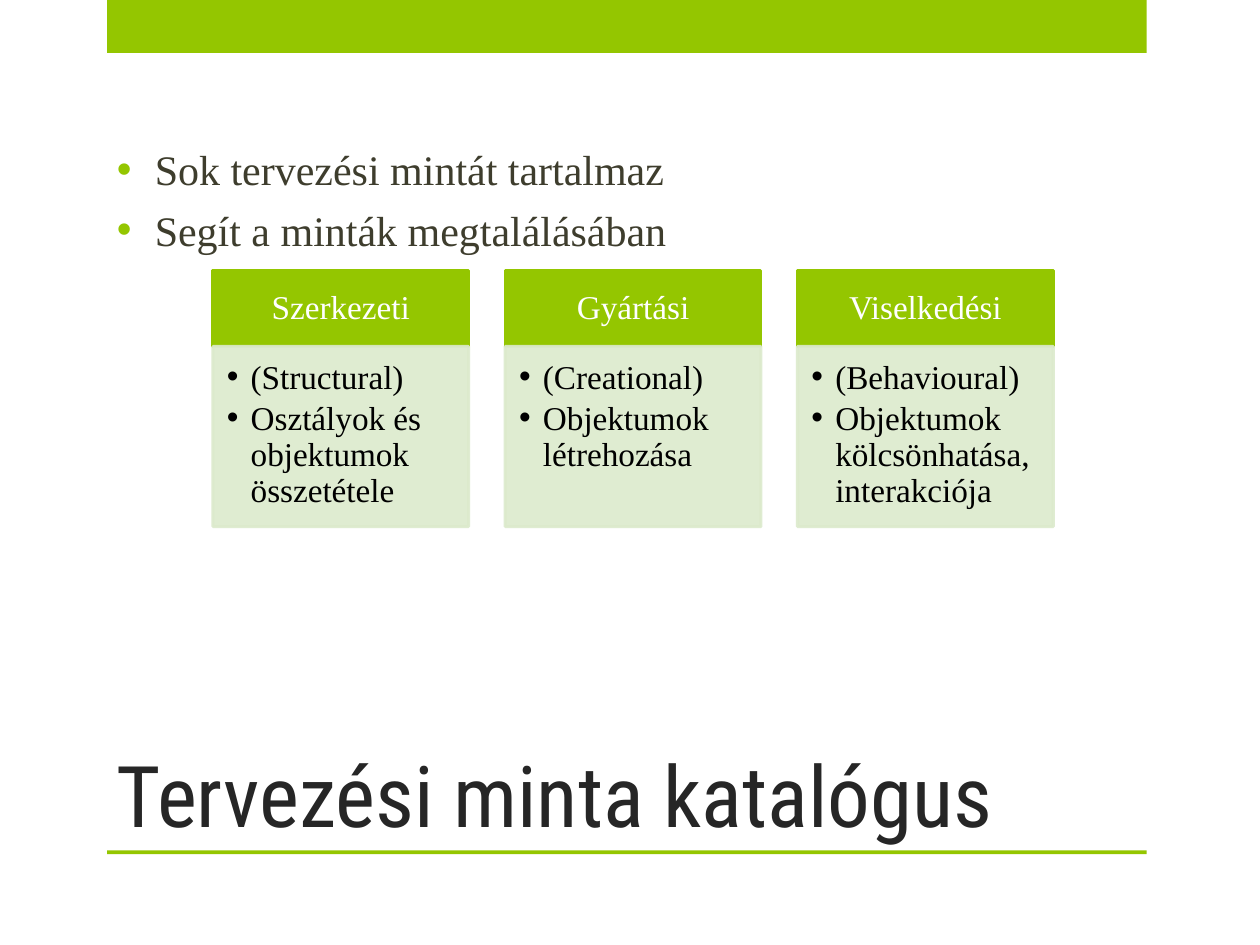
from lxml.etree import SubElement
from pptx import Presentation
from pptx.dml.color import RGBColor
from pptx.enum.shapes import MSO_SHAPE
from pptx.enum.text import MSO_ANCHOR, PP_ALIGN
from pptx.oxml.ns import qn
from pptx.util import Inches, Pt

TITLE = "Tervezési minta katalógus"
POINTS = ["Sok tervezési mintát tartalmaz", "Segít a minták megtalálásában"]
CARDS = [
    ("Szerkezeti", ["(Structural)", "Osztályok és objektumok összetétele"]),
    ("Gyártási", ["(Creational)", "Objektumok létrehozása"]),
    ("Viselkedési", ["(Behavioural)", "Objektumok kölcsönhatása, interakciója"]),
]
GREEN, PALE = "94C600", "DCEACC"
SERIF = "Times New Roman"
BARS = [(0, 0.42), (6.75, 0.03)]
CARD_LEFT, CARD_TOP, CARD_STEP, CARD_WIDTH = 1.69, 2.15, 2.32, 2.03
HEAD_HEIGHT, BODY_HEIGHT = 0.6, 1.43


def rgb(value):
    """Return a colour from a hex string."""
    return RGBColor.from_string(value)


def add_rect(s, box, color, line=False, opacity=None):
    """Add a flat rectangle, optionally outlined and translucent."""
    sp = s.shapes.add_shape(MSO_SHAPE.RECTANGLE, *map(Inches, box))
    sp.shadow.inherit = False
    sp.fill.solid()
    sp.fill.fore_color.rgb = rgb(color)
    if line:
        sp.line.color.rgb = rgb(color)
        sp.line.width = Pt(1.75)
    else:
        sp.line.fill.background()
    if opacity:
        for clr in sp._element.spPr.iter(qn("a:srgbClr")):
            SubElement(clr, qn("a:alpha"), val=str(opacity * 1000))
    return sp


def add_bullet(p, indent, color=None):
    """Give a paragraph a hanging round bullet."""
    pPr = p._p.get_or_add_pPr()
    pPr.set("marL", str(Inches(indent)))
    pPr.set("indent", str(-Inches(indent)))
    if color:
        SubElement(SubElement(pPr, qn("a:buClr")), qn("a:srgbClr"), val=color)
    SubElement(pPr, qn("a:buFont"), typeface="Arial")
    SubElement(pPr, qn("a:buChar"), char="•")


def write(sp, lines, size, color, font=SERIF, anchor=MSO_ANCHOR.MIDDLE,
          align=PP_ALIGN.LEFT, insets=(0.1, 0.05, 0.1, 0.05), spacing=1.0,
          before=0, after=0, indent=None, bullet_color=None):
    """Write the lines into a shape, one paragraph each."""
    tf = sp.text_frame
    tf.word_wrap = True
    tf.vertical_anchor = anchor
    tf.margin_left, tf.margin_top, tf.margin_right, tf.margin_bottom = map(Inches, insets)
    for i, text in enumerate(lines):
        p = tf.add_paragraph() if i else tf.paragraphs[0]
        p.alignment = align
        p.line_spacing = spacing
        p.space_before, p.space_after = Pt(before), Pt(after)
        if indent:
            add_bullet(p, indent, bullet_color)
        r = p.add_run()
        r.text = text
        r.font.name, r.font.size = font, Pt(size)
        r.font.color.rgb = rgb(color)


def add_text(s, box, lines, size, color, **options):
    """Add a text box holding the lines."""
    write(s.shapes.add_textbox(*map(Inches, box)), lines, size, color, **options)


def add_card(s, left, heading, items):
    """Add a heading box with its list box beneath."""
    head = add_rect(s, (left, CARD_TOP, CARD_WIDTH, HEAD_HEIGHT), GREEN, line=True)
    write(head, [heading], 19, "FFFFFF", align=PP_ALIGN.CENTER,
          insets=(0.15, 0.08, 0.15, 0.08), spacing=0.9)
    body = add_rect(s, (left, CARD_TOP + HEAD_HEIGHT, CARD_WIDTH, BODY_HEIGHT),
                    PALE, line=True, opacity=90)
    write(body, items, 19, "000000", anchor=MSO_ANCHOR.TOP,
          insets=(0.11, 0.11, 0.15, 0.17), spacing=0.9, after=3, indent=0.19)


def main():
    """Build the slide and save it."""
    prs = Presentation()
    prs.slide_width, prs.slide_height = Inches(10), Inches(7.5)
    s = prs.slides.add_slide(prs.slide_layouts[6])
    for top, height in BARS:
        add_rect(s, (0.85, top, 8.25, height), GREEN)
    add_text(s, (0.83, 5, 7.42, 1.75), [TITLE], 48.6, "262626",
             font="Roboto Condensed", anchor=MSO_ANCHOR.BOTTOM)
    add_text(s, (0.83, 0.75, 8.25, 1.66), POINTS, 24, "3E3D2D",
             before=6, indent=0.3, bullet_color=GREEN)
    for i, (heading, items) in enumerate(CARDS):
        add_card(s, CARD_LEFT + i * CARD_STEP, heading, items)
    prs.save("out.pptx")


if __name__ == "__main__":
    main()
